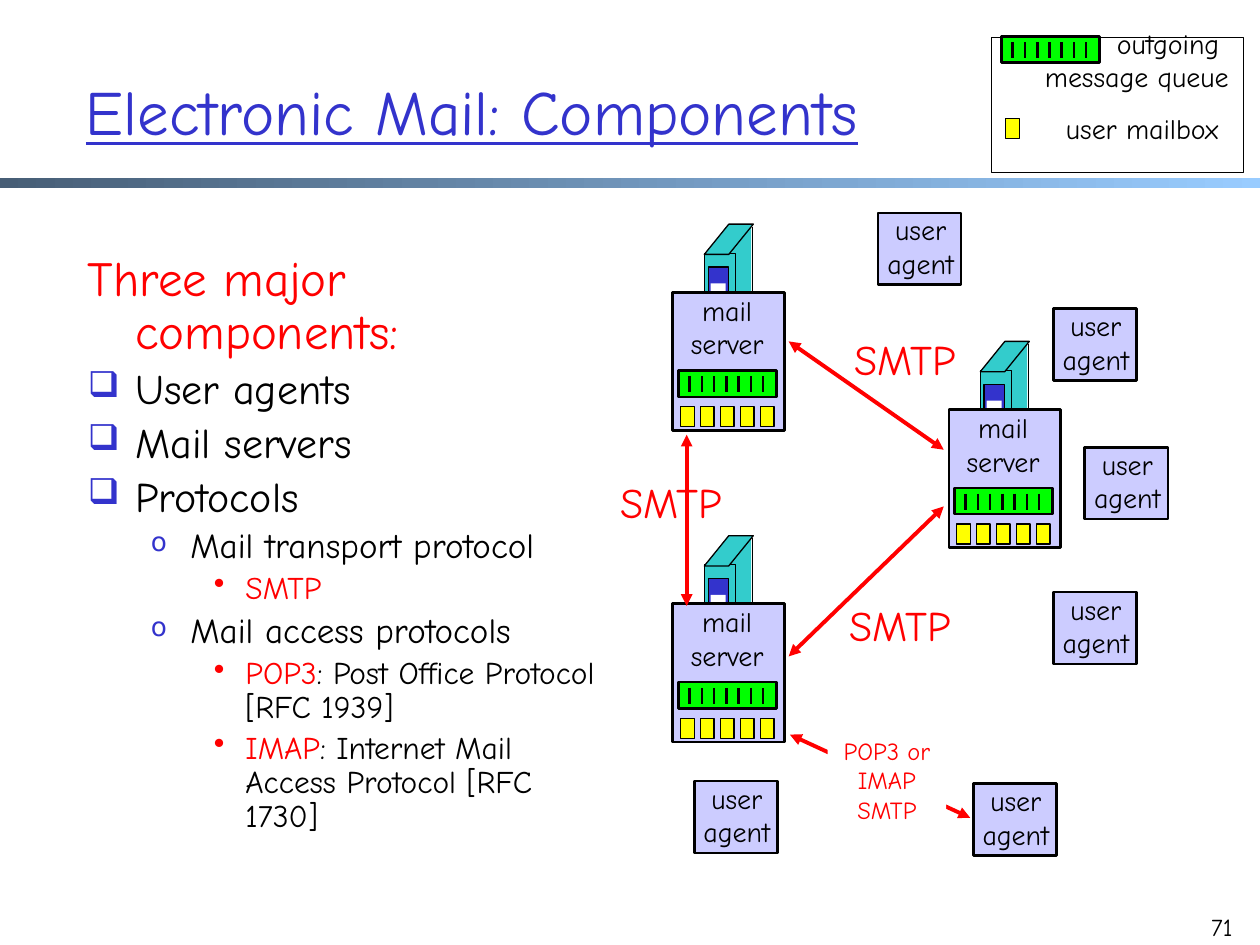
from lxml.etree import SubElement
from pptx import Presentation
from pptx.dml.color import RGBColor
from pptx.enum.shapes import MSO_CONNECTOR, MSO_SHAPE
from pptx.enum.text import MSO_ANCHOR, MSO_AUTO_SIZE, PP_ALIGN
from pptx.oxml.ns import qn
from pptx.util import Pt

FONT = "Comic Neue"
COLORS = {
    "black": "000000", "white": "FFFFFF", "red": "FF0000", "blue": "3333CC",
    "lavender": "CCCCFF", "teal": "33CCCC", "green": "00FF00", "yellow": "FFFF00",
    "slate": "475E76", "sky": "99CCFF",
}
COLORS = {name: RGBColor.from_string(value) for name, value in COLORS.items()}

deck = Presentation()
deck.slide_width, deck.slide_height = Pt(720), Pt(540)
page = deck.slides.add_slide(deck.slide_layouts[5])


def add_block(left, top, width, height, fill=None, weight=0, kind=MSO_SHAPE.RECTANGLE):
    block = page.shapes.add_shape(kind, Pt(left), Pt(top), Pt(width), Pt(height))
    block.shadow.inherit = False
    if fill:
        block.fill.solid()
        block.fill.fore_color.rgb = COLORS[fill]
    else:
        block.fill.background()
    if weight:
        block.line.width = Pt(weight)
        block.line.color.rgb = COLORS["black"]
    else:
        block.line.fill.background()
    return block


def add_label(left, top, width, height, text, size=16, color="black", align=PP_ALIGN.CENTER):
    label = page.shapes.add_textbox(Pt(left), Pt(top), Pt(width), Pt(height))
    label.text_frame.word_wrap = False
    label.text_frame.text = text
    for para in label.text_frame.paragraphs:
        para.alignment = align
        para.font.name = FONT
        para.font.size = Pt(size)
        para.font.color.rgb = COLORS[color]
    return label


bar = add_block(0, 101.5, 720, 6, "slate")
bar.fill.gradient()
bar.fill.gradient_angle = 0
for stop, position, name in zip(bar.fill.gradient_stops, (0, 1), ("slate", "sky")):
    stop.position = position
    stop.color.rgb = COLORS[name]

add_label(675.4, 517.7, 36, 36, "71", 14, align=PP_ALIGN.RIGHT)

title = page.shapes.title
title.left, title.top, title.width, title.height = Pt(41.8), Pt(18), Pt(612), Pt(90)
title.text_frame.text = "Electronic Mail: Components"
title.text_frame.vertical_anchor = MSO_ANCHOR.MIDDLE
title.text_frame.auto_size = MSO_AUTO_SIZE.NONE
para = title.text_frame.paragraphs[0]
para.alignment = PP_ALIGN.LEFT
para.font.name = FONT
para.font.size = Pt(36)
para.font.underline = True
para.font.color.rgb = COLORS["blue"]

LEVELS = {
    "heading": (28, 27, -27, None, None, None),
    "item": (24, 27, -27, "❑", "blue", 85),
    "subitem": (20, 58.5, -22.5, "o", "blue", 75),
    "detail": (18, 90, -18, "•", None, None),
}
OUTLINE = [
    ("heading", [("Three major components:", "red")]),
    ("item", [("User agents", "black")]),
    ("item", [("Mail servers", "black")]),
    ("item", [("Protocols", "black")]),
    ("subitem", [("Mail transport protocol", "black")]),
    ("detail", [("SMTP", "red")]),
    ("subitem", [("Mail access protocols", "black")]),
    ("detail", [("POP3", "red"), (": Post Office Protocol [RFC 1939]", "black")]),
    ("detail", [("IMAP", "red"), (": Internet Mail Access Protocol [RFC 1730]", "black")]),
]
body = page.shapes.add_textbox(Pt(43.2), Pt(141.8), Pt(309.6), Pt(364.3)).text_frame
body.word_wrap = True
for index, (level, spans) in enumerate(OUTLINE):
    size, margin, indent, bullet, bullet_color, bullet_size = LEVELS[level]
    para = body.add_paragraph() if index else body.paragraphs[0]
    para.line_spacing = 0.9
    para.space_before = Pt(size * 0.2 if index else 0)
    properties = para._p.get_or_add_pPr()
    properties.set("marL", str(Pt(margin)))
    properties.set("indent", str(Pt(indent)))
    if bullet_color:
        tint = SubElement(properties, qn("a:buClr"))
        SubElement(tint, qn("a:srgbClr"), val=str(COLORS[bullet_color]))
        SubElement(properties, qn("a:buSzPct"), val=str(bullet_size * 1000))
    if bullet:
        SubElement(properties, qn("a:buChar"), char=bullet)
    para.font.name = FONT
    para.font.size = Pt(size)
    for text, color in spans:
        span = para.add_run()
        span.text = text
        span.font.color.rgb = COLORS[color]

for left, top in [(476.6, 187.2), (473.8, 339.1), (342.7, 268.6)]:
    add_label(left, top, 81.4, 36, "SMTP", 24, "red")

add_block(566.6, 21.6, 144, 77, weight=0.75)
add_label(598.3, 60.5, 108.7, 26.6, "user mailbox")
add_label(585.4, 11.5, 123.8, 46, "outgoing \nmessage queue", align=PP_ALIGN.RIGHT)

lines = []
queues = [(572.4, 20.9)]
mailboxes = [(574.6, 67.7)]
for left, top in [(542.2, 234), (384.5, 345), (384.5, 167)]:
    add_block(left + 31.7, top - 38.2, 13, 56, "teal")
    add_block(left + 18, top - 22.3, 18, 56, "teal", 0.75)
    roof = add_block(left + 18, top - 38.9, 28, 17.3, "teal", 0.75, MSO_SHAPE.PARALLELOGRAM)
    roof.adjustments[0] = 0.81
    add_block(left + 20.2, top - 14.4, 11.5, 32.4, "blue", 0.75)
    add_block(left + 21.6, top - 5, 8.6, 11.5, "white")
    add_block(left, top, 64, 79, "lavender", 1.5)
    add_label(left - 0.7, top - 2.9, 63.4, 46, "mail\nserver")
    lines.append((left + 45.4, top - 37.4, left + 45.4, top, "black", 0.75))
    queues.append((left + 3.3, top + 44.8))
    mailboxes += [(left + 4.3 + 11.4 * slot, top + 65.4) for slot in range(5)]

for left, top in queues:
    add_block(left, top, 56, 15, "green", 1.5)
    for tick in range(7):
        x = left + 6.3 + 7 * tick
        lines.append((x, top + 3.3, x, top + 12.5, "black", 1.5))

for left, top in mailboxes:
    add_block(left, top, 7.9, 11.5, "yellow", 0.75)

AGENTS = [(501.8, 121.7), (601.9, 176.4), (619.9, 255.6),
          (601.9, 338.4), (556.2, 447.8), (396.7, 446.4)]
for left, top in AGENTS:
    add_block(left, top, 47.5, 41, "lavender", 1.5)
    add_label(left - 3.8, top - 3.6, 56.2, 46, "user\nagent")

lines += [
    (450.7, 195.1, 539.3, 257, "red", 2.25),
    (450.7, 375.1, 539.3, 289.4, "red", 2.25),
    (392.4, 346.3, 392.4, 248.4, "red", 2.25),
    (451.4, 419.8, 554.4, 467.3, "red", 2.25),
]
for start_x, start_y, end_x, end_y, color, weight in lines:
    line = page.shapes.add_connector(
        MSO_CONNECTOR.STRAIGHT, Pt(start_x), Pt(start_y), Pt(end_x), Pt(end_y))
    line.line.width = Pt(weight)
    line.line.color.rgb = COLORS[color]
    if color == "red":
        for end in ("a:headEnd", "a:tailEnd"):
            SubElement(line.line._get_or_add_ln(), qn(end), type="triangle")
    SubElement(line._element.spPr, qn("a:effectLst"))

access = add_label(473, 416.9, 67.7, 58.3, "POP3 or\nIMAP\vSMTP", 14, "red")
access.fill.solid()
access.fill.fore_color.rgb = COLORS["white"]

deck.save("out.pptx")
